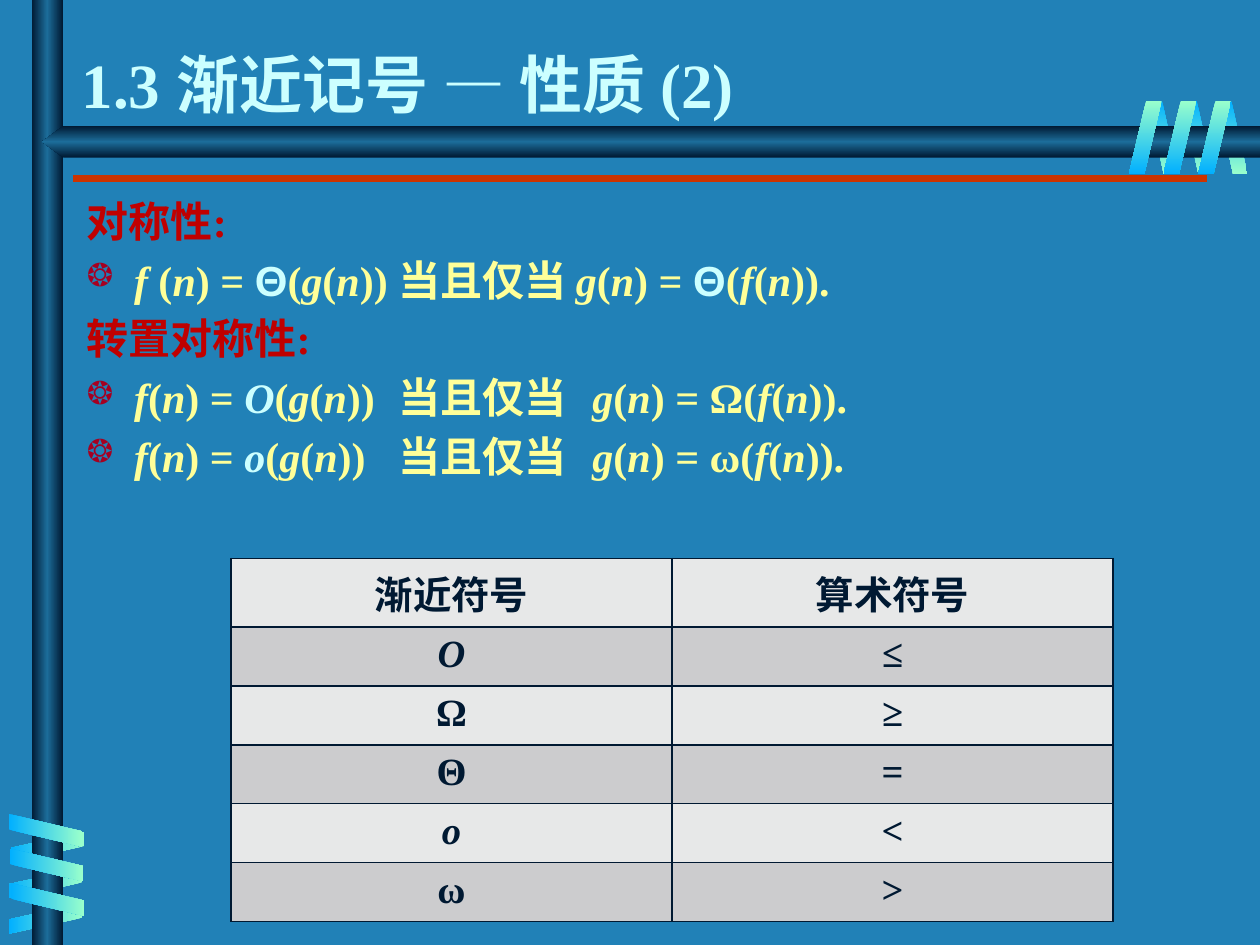
from itertools import groupby

from lxml.etree import SubElement
from pptx import Presentation
from pptx.dml.color import RGBColor
from pptx.enum.shapes import MSO_CONNECTOR as CONN, MSO_SHAPE as SHAPE
from pptx.enum.text import MSO_ANCHOR as ANCHOR, PP_ALIGN as ALIGN
from pptx.oxml.ns import qn
from pptx.util import Pt

BLUE = RGBColor(0x21, 0x81, 0xB7)
NAVY = RGBColor(0x00, 0x19, 0x32)
STEEL = RGBColor(0x1C, 0x6D, 0x9A)
SKY = RGBColor(0x01, 0xB0, 0xFF)
MINT = RGBColor(0x99, 0xFF, 0xCC)
ORANGE = RGBColor(0xCC, 0x33, 0x00)
PALE = RGBColor(0xCC, 0xFF, 0xFF)
RED = RGBColor(0xC0, 0x00, 0x00)
CRIMSON = RGBColor(0xA5, 0x00, 0x21)
YELLOW = RGBColor(0xFF, 0xFF, 0x99)
LIGHT = RGBColor(0xE7, 0xE8, 0xE8)
GREY = RGBColor(0xCC, 0xCC, 0xCE)
SERIF, SANS = "Times New Roman", "Arial"


def add_color(parent, color):
    SubElement(parent, qn("a:srgbClr"), val=str(color))


def symbol_style(char):
    if char == "Θ":
        return PALE, False, SANS
    if char in "Oo":
        return PALE, True, SERIF
    return YELLOW, char in "fgn", SERIF


class Deck:
    """Holds the presentation, the current slide and its text style."""

    def __init__(self, width, height):
        self.prs = Presentation()
        self.prs.slide_width, self.prs.slide_height = Pt(width), Pt(height)
        self.s = self.prs.slides.add_slide(self.prs.slide_layouts[6])
        self.s.background.fill.solid()
        self.s.background.fill.fore_color.rgb = BLUE

    def bar(self, kind, box, colors, angle, rotation=0, flip=False, adjust=None):
        sp = self.s.shapes.add_shape(kind, *map(Pt, box))
        sp.shadow.inherit = False
        sp.line.fill.background()
        sp.rotation = rotation
        if flip:
            sp._element.spPr.find(qn("a:xfrm")).set("flipH", "1")
        if adjust:
            sp.adjustments[0] = adjust
        sp.fill.gradient()
        grad = sp._element.spPr.find(qn("a:gradFill"))
        grad.set("rotWithShape", "0")
        for child in list(grad):
            grad.remove(child)
        stops = SubElement(grad, qn("a:gsLst"))
        for i, color in enumerate(colors):
            pos = 100000 * i // (len(colors) - 1)
            add_color(SubElement(stops, qn("a:gs"), pos=str(pos)), color)
        SubElement(grad, qn("a:lin"), ang=str(angle * 60000), scaled="0")

    def rule(self, x1, x2, y, color, width):
        line = self.s.shapes.add_connector(CONN.STRAIGHT, Pt(x1), Pt(y), Pt(x2), Pt(y))
        line.line.color.rgb, line.line.width = color, Pt(width)
        SubElement(line._element.spPr, qn("a:effectLst"))

    def text_box(self, box, anchor=ANCHOR.TOP):
        tf = self.s.shapes.add_textbox(*map(Pt, box)).text_frame
        tf.word_wrap, tf.vertical_anchor = True, anchor
        return tf

    def run(self, p, text, size, color, italic=False, font=SERIF):
        r = p.add_run()
        r.text = text
        r.font.size, r.font.name = Pt(size), font
        r.font.bold, r.font.italic = True, italic
        r.font.color.rgb = color

    def paragraph(self, tf, first=False):
        p = tf.paragraphs[0] if first else tf.add_paragraph()
        if not first:
            p.space_before = Pt(4.8)
        return p

    def formula(self, tf, text, tabs):
        p = self.paragraph(tf)
        pPr = p._p.get_or_add_pPr()
        pPr.set("marL", str(Pt(27)))
        pPr.set("indent", str(Pt(-27)))
        add_color(SubElement(pPr, qn("a:buClr")), CRIMSON)
        SubElement(pPr, qn("a:buSzPct"), val="75000")
        SubElement(pPr, qn("a:buChar"), char="❂")
        stops = SubElement(pPr, qn("a:tabLst"))
        for tab in tabs:
            SubElement(stops, qn("a:tab"), pos=str(Pt(tab)), algn="l")
        for (color, italic, font), chars in groupby(text, symbol_style):
            self.run(p, "".join(chars), 24, color, italic, font)

    def table(self, box, rows, heights):
        tbl = self.s.shapes.add_table(len(rows), len(rows[0]), *map(Pt, box)).table
        for i, (row, height) in enumerate(zip(rows, heights)):
            tbl.rows[i].height = Pt(height)
            for j, text in enumerate(row):
                self.cell(tbl.cell(i, j), text, GREY if i % 2 else LIGHT)

    def cell(self, cell, text, fill):
        tcPr = cell._tc.get_or_add_tcPr()
        for side in ("a:lnL", "a:lnR", "a:lnT", "a:lnB"):
            line = SubElement(tcPr, qn(side), w=str(Pt(1)))
            add_color(SubElement(line, qn("a:solidFill")), NAVY)
        cell.fill.solid()
        cell.fill.fore_color.rgb = fill
        p = cell.text_frame.paragraphs[0]
        p.alignment = ALIGN.CENTER
        self.run(p, text, 22, NAVY, text in ("O", "o"))


def main():
    deck = Deck(720, 540)
    slant = SHAPE.PARALLELOGRAM
    for i in range(3):
        deck.bar(slant, (695.5 - 19.8 * i, 57.6, 17.3, 41.8), (SKY, MINT), 90, 180, True, 0.53)
    for x, y in ((18.7, 463), (17.3, 483.8), (17.3, 504)):
        deck.bar(slant, (x, y, 17.3, 41.8), (MINT, SKY), 0, 90, True, 0.53)
    deck.bar(SHAPE.RECTANGLE, (18, 0, 18, 540), (NAVY, STEEL, NAVY), 0)
    deck.bar(SHAPE.PENTAGON, (24, 72, 696, 18), (NAVY, STEEL, NAVY), 90, flip=True, adjust=0.68)
    for i in range(3):
        deck.bar(slant, (16.6 + 0.7 * i, 453.6 + 19.8 * i, 18.7, 41.8), (SKY, MINT), 0, 270, adjust=0.53)
    for i in range(3):
        deck.bar(slant, (684.7 - 19.8 * i, 57.6, 18.7, 41.8), (MINT, SKY), 90, adjust=0.53)
    deck.rule(42, 690, 102, ORANGE, 4.5)

    title = deck.text_box((39.6, 12.2, 680.4, 70.6), ANCHOR.MIDDLE)
    deck.run(title.paragraphs[0], "1.3 渐近记号 — 性质 (2)", 36, PALE)

    body = deck.text_box((42.5, 108, 660, 198))
    deck.run(deck.paragraph(body, True), "对称性:", 24, RED)
    deck.formula(body, "f (n) = Θ(g(n)) 当且仅当 g(n) = Θ(f(n)).", ())
    deck.run(deck.paragraph(body), "转置对称性:", 24, RED)
    for text in ("f(n) = O(g(n))\t当且仅当\tg(n) = Ω(f(n)).", "f(n) = o(g(n))\t当且仅当\tg(n) = ω(f(n))."):
        deck.formula(body, text, (178, 289))

    symbols = [("渐近符号", "算术符号"), ("O", "≤"), ("Ω", "≥"), ("Θ", "="), ("o", "<"), ("ω", ">")]
    deck.table((132, 319, 504, 197.4), symbols, [39.4] + [31.6] * 5)
    deck.prs.save("out.pptx")


if __name__ == "__main__":
    main()
